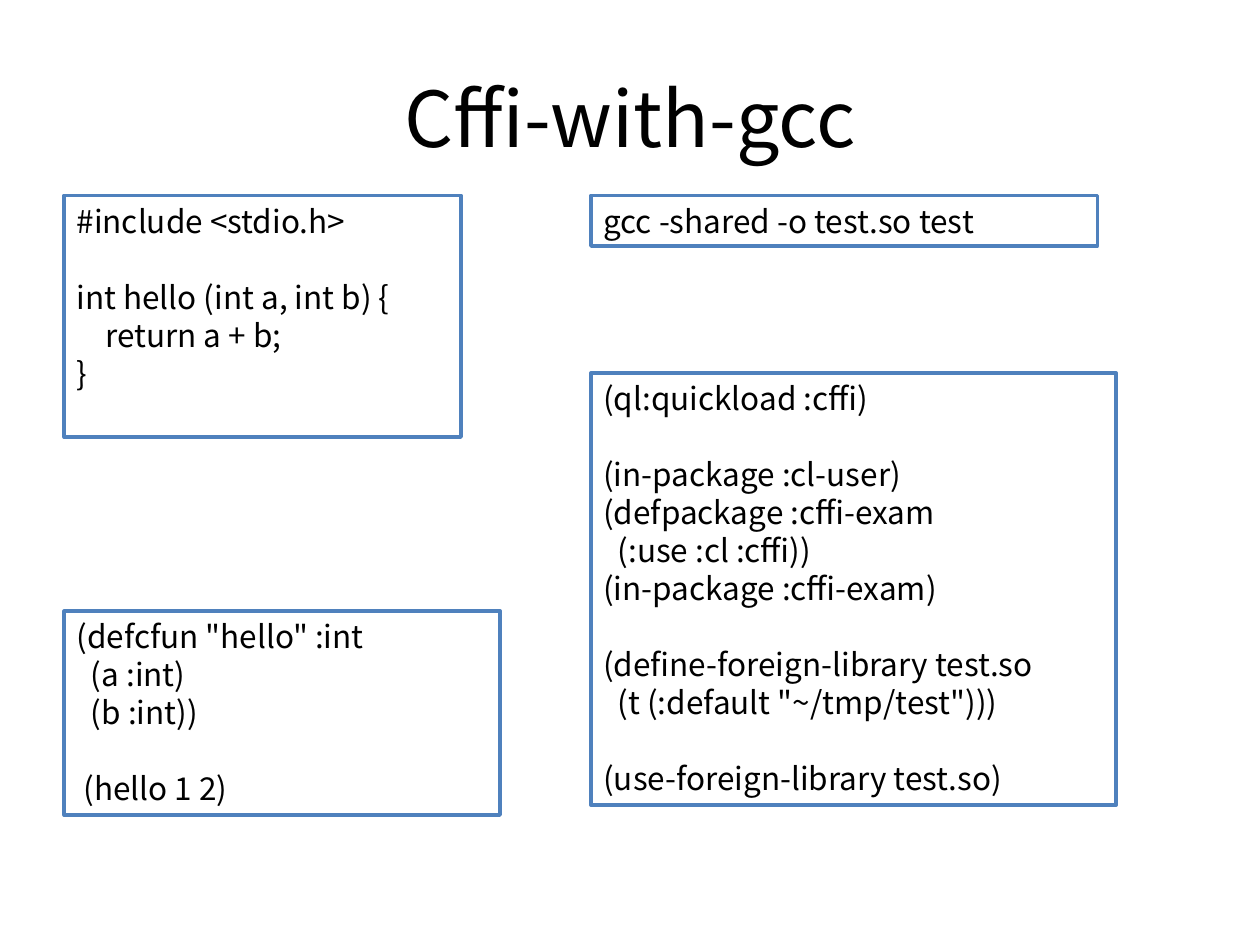
"""Build the Cffi-with-gcc slide with four framed code boxes."""
from dataclasses import dataclass

import pptx
import pptx.dml.color
import pptx.enum.shapes
import pptx.enum.text
import pptx.slide
import pptx.text.text
import pptx.util

Pt = pptx.util.Pt
FONT = "Noto Sans CJK KR"
COLORS = {"text": "000000", "fill": "FFFFFF", "border": "4F81BD"}
LINE_PITCH = 21.7
SPACE_WIDTH = 4.1
LEFT_COLUMN, RIGHT_COLUMN = 36.7, 337.7
TOP_ROW = 111.6


@dataclass
class CodeLine:
    text: str
    indent: int = 0
    gap_before: bool = False


@dataclass
class CodeBox:
    left: float
    top: float
    width: float
    height: float
    lines: list[CodeLine]


CODE_BOXES = [
    CodeBox(LEFT_COLUMN, TOP_ROW, 226.8, 138.2, [
        CodeLine("#include <stdio.h>"),
        CodeLine("int hello (int a, int b) {", gap_before=True),
        CodeLine("return a + b;", indent=4),
        CodeLine("}"),
    ]),
    CodeBox(RIGHT_COLUMN, TOP_ROW, 289.4, 29, [
        CodeLine("gcc -shared -o test.so test"),
    ]),
    CodeBox(RIGHT_COLUMN, 213.1, 300.2, 247, [
        CodeLine("(ql:quickload :cffi)"),
        CodeLine("(in-package :cl-user)", gap_before=True),
        CodeLine("(defpackage :cffi-exam"),
        CodeLine("(:use :cl :cffi))", indent=2),
        CodeLine("(in-package :cffi-exam)"),
        CodeLine("(define-foreign-library test.so", gap_before=True),
        CodeLine('(t (:default "~/tmp/test")))', indent=2),
        CodeLine("(use-foreign-library test.so)", gap_before=True),
    ]),
    CodeBox(LEFT_COLUMN, 349.2, 249.1, 116.6, [
        CodeLine('(defcfun "hello" :int'),
        CodeLine("(a :int)", indent=2),
        CodeLine("(b :int))", indent=2),
        CodeLine("(hello 1 2)", indent=1, gap_before=True),
    ]),
]


def color(name: str) -> pptx.dml.color.RGBColor:
    return pptx.dml.color.RGBColor.from_string(COLORS[name])


def format_runs(paragraph: pptx.text.text._Paragraph, size: float) -> None:
    for run in paragraph.runs:
        run.font.name = FONT
        run.font.size = Pt(size)
        run.font.color.rgb = color("text")


def add_title(slide: pptx.slide.Slide, text: str) -> None:
    title = slide.shapes.title
    title.left, title.top, title.width, title.height = Pt(36), Pt(21.6), Pt(648), Pt(90)
    title.text_frame.text = text
    title.text_frame.vertical_anchor = pptx.enum.text.MSO_ANCHOR.MIDDLE
    paragraph = title.text_frame.paragraphs[0]
    paragraph.alignment = pptx.enum.text.PP_ALIGN.CENTER
    format_runs(paragraph, 44)


def add_code_box(slide: pptx.slide.Slide, box: CodeBox) -> None:
    shape = slide.shapes.add_shape(
        pptx.enum.shapes.MSO_SHAPE.RECTANGLE,
        Pt(box.left), Pt(box.top), Pt(box.width), Pt(box.height))
    shape.shadow.inherit = False
    shape.fill.solid()
    shape.fill.fore_color.rgb = color("fill")
    shape.line.color.rgb = color("border")
    shape.line.width = Pt(2)
    text_frame = shape.text_frame
    text_frame.word_wrap = True
    text_frame.vertical_anchor = pptx.enum.text.MSO_ANCHOR.TOP
    text_frame.text = "\n".join(line.text for line in box.lines)
    for paragraph, line in zip(text_frame.paragraphs, box.lines):
        paragraph.alignment = pptx.enum.text.PP_ALIGN.LEFT
        paragraph.line_spacing = Pt(LINE_PITCH)
        if line.gap_before:
            paragraph.space_before = Pt(LINE_PITCH)
        if line.indent:
            properties = paragraph._p.get_or_add_pPr()
            properties.set("marL", str(Pt(line.indent * SPACE_WIDTH)))
        format_runs(paragraph, 18)


def main() -> None:
    presentation = pptx.Presentation()
    presentation.slide_width, presentation.slide_height = Pt(720), Pt(540)
    slide = presentation.slides.add_slide(presentation.slide_layouts[5])
    for box in CODE_BOXES:
        add_code_box(slide, box)
    add_title(slide, "Cffi-with-gcc")
    presentation.save("out.pptx")


main()
